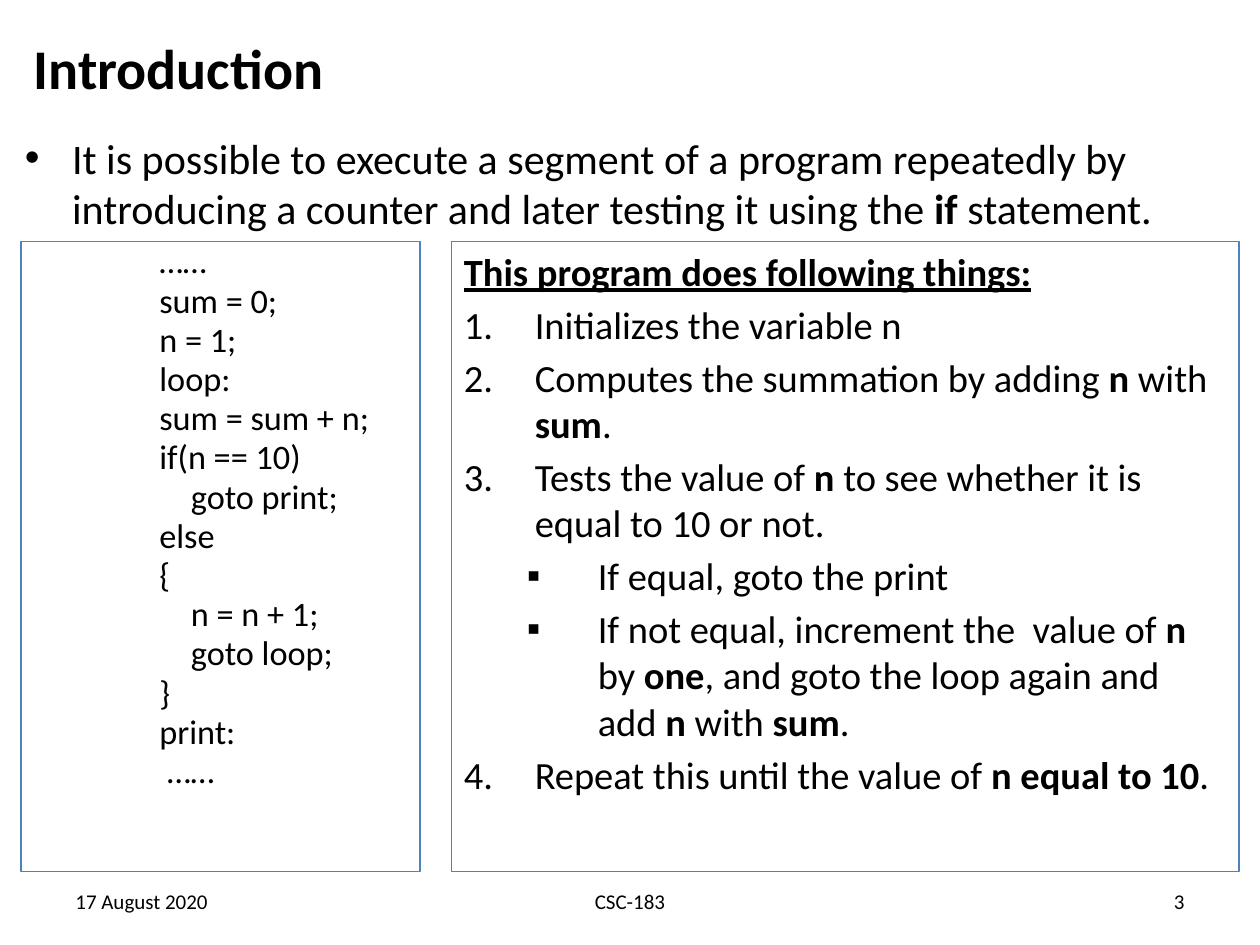
"""Build the Introduction slide about repeating a program segment with if and goto."""
import pptx
import pptx.dml.color
import pptx.enum.shapes
import pptx.enum.text
import pptx.oxml.ns
import pptx.util
from lxml import etree

Pt = pptx.util.Pt
ALIGN = pptx.enum.text.PP_ALIGN
ANCHOR = pptx.enum.text.MSO_ANCHOR


def color(hex_code):
    """Return the colour for a hex string."""
    return pptx.dml.color.RGBColor.from_string(hex_code)


def write(frame, index, text, size, left=0, hanging=0, before=0, level=0, bullet=None):
    """Write one paragraph, with *starred* words in bold, and return it."""
    para = frame.paragraphs[0] if index == 0 else frame.add_paragraph()
    para.level = level
    para.space_before = Pt(before)
    properties = para._p.get_or_add_pPr()
    properties.set("marL", str(Pt(left)))
    properties.set("indent", str(Pt(-hanging)))
    if bullet == "1.":
        etree.SubElement(properties, pptx.oxml.ns.qn("a:buAutoNum"), type="arabicPeriod")
    elif bullet:
        face = "Wingdings" if bullet == "§" else "Arial"
        etree.SubElement(properties, pptx.oxml.ns.qn("a:buFont"), typeface=face)
        etree.SubElement(properties, pptx.oxml.ns.qn("a:buChar"), char=bullet)
    else:
        etree.SubElement(properties, pptx.oxml.ns.qn("a:buNone"))
    for number, part in enumerate(text.split("*")):
        if part:
            span = para.add_run()
            span.text = part
            span.font.name = "Calibri"
            span.font.size = Pt(size)
            span.font.bold = number % 2 == 1
            span.font.color.rgb = color("000000")
    return para


deck = pptx.Presentation()
deck.slide_width, deck.slide_height = Pt(720), Pt(540)
page = deck.slides.add_slide(deck.slide_layouts[1])

title, body = page.placeholders
title.left, title.top, title.width, title.height = Pt(12), Pt(16), Pt(696), Pt(45)
body.left, body.top, body.width, body.height = Pt(7), Pt(72), Pt(706), Pt(72)
for holder, anchor in ((title, ANCHOR.MIDDLE), (body, ANCHOR.TOP)):
    holder.text_frame.auto_size = pptx.enum.text.MSO_AUTO_SIZE.NONE
    holder.text_frame.vertical_anchor = anchor
write(title.text_frame, 0, "*Introduction*", 32).alignment = ALIGN.LEFT
write(body.text_frame, 0,
      "It is possible to execute a segment of a program repeatedly by introducing "
      "a counter and later testing it using the *if* statement.",
      24, 27, 27, 4.8, bullet="•")

frames = []
for left, width in ((12, 228), (258, 450)):
    box = page.shapes.add_shape(pptx.enum.shapes.MSO_SHAPE.RECTANGLE,
                                Pt(left), Pt(138), Pt(width), Pt(360))
    box.shadow.inherit = False
    box.fill.background()
    box.line.color.rgb = color("4F81BD")
    box.line.width = Pt(0.75)
    box.text_frame.word_wrap = True
    box.text_frame.vertical_anchor = ANCHOR.TOP
    frames.append(box.text_frame)
code_frame, steps_frame = frames

code_lines = ["……", "sum = 0;", "n = 1;", "loop:", "sum = sum + n;", "if(n == 10)",
              "\tgoto print;", "else", "{", "\tn = n + 1;", "\tgoto loop;", "}",
              "print:", " ……"]
for index, line in enumerate(code_lines):
    para = write(code_frame, index, line, 19.6, 90, 18, 3.6, level=2)
    para.alignment = ALIGN.LEFT
    para.line_spacing = 0.8

steps = [
    ("*This program does following things:*", 27, 27, 0, None),
    ("Initializes the variable n", 40.5, 40.5, 0, "1."),
    ("Computes the summation by adding *n* with *sum*.", 40.5, 40.5, 0, "1."),
    ("Tests the value of *n* to see whether it is equal to 10 or not.", 40.5, 40.5, 0, "1."),
    ("If equal, goto the print", 76.5, 40.5, 1, "▪"),
    ("If not equal, increment the  value of *n *by *one*, and goto the loop again "
     "and add *n* with *sum*.", 76.5, 40.5, 1, "▪"),
    ("Repeat this until the value of *n equal to 10*.", 40.5, 40.5, 0, "1."),
]
for index, (text, left, hanging, level, bullet) in enumerate(steps):
    para = write(steps_frame, index, text, 22, left, hanging, 3.9, level, bullet)
    para.alignment = ALIGN.LEFT
steps_frame.paragraphs[0].runs[0].font.underline = True

for text, left, width, alignment in (("17 August 2020", 36, 168, ALIGN.LEFT),
                                     ("CSC-183", 246, 228, ALIGN.CENTER),
                                     ("3", 516, 168, ALIGN.RIGHT)):
    footer = page.shapes.add_textbox(Pt(left), Pt(500.5), Pt(width), Pt(28.8))
    footer.text_frame.word_wrap = True
    footer.text_frame.vertical_anchor = ANCHOR.MIDDLE
    write(footer.text_frame, 0, text, 12).alignment = alignment

deck.save("out.pptx")
